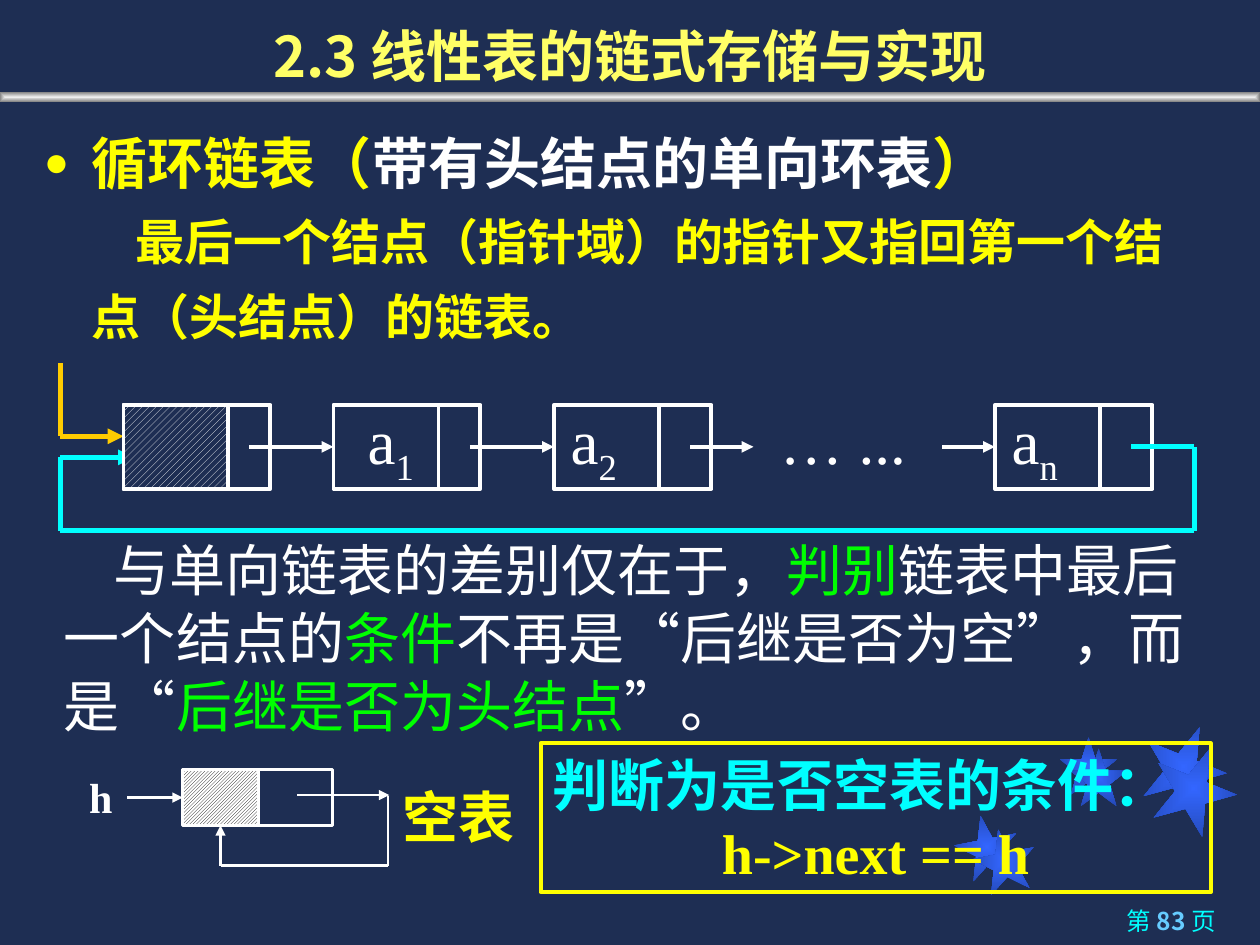
import dataclasses

import lxml.etree
import pptx
import pptx.dml.color
import pptx.enum.dml
import pptx.enum.shapes
import pptx.enum.text
import pptx.oxml.ns
import pptx.util

SHAPE = pptx.enum.shapes.MSO_SHAPE
ALIGN = pptx.enum.text.PP_ALIGN
ANCHOR = pptx.enum.text.MSO_ANCHOR
HATCH = pptx.enum.dml.MSO_PATTERN
qn = pptx.oxml.ns.qn


@dataclasses.dataclass(frozen=True)
class Theme:
    navy: str = "1E2E53"
    white: str = "FFFFFF"
    black: str = "000000"
    yellow: str = "FFFF00"
    lemon: str = "FFFF66"
    gold: str = "FFCC00"
    cyan: str = "00FFFF"
    sky: str = "66CCFF"
    green: str = "00FF00"
    star: tuple = ("3366FF", "2449B6")
    steel: tuple = ("EDEDED", "808080")
    sans: str = "Noto Sans CJK SC"
    serif: str = "Times New Roman"
    big: int = 32
    mid: int = 28
    small: int = 24
    foot: int = 14
    node: int = 36
    row: int = 48
    lead: float = 1.22


@dataclasses.dataclass(frozen=True)
class Grid:
    left: float
    top: float
    step: float

    def x(self, col):
        return pptx.util.Inches(self.left + col * self.step)

    def y(self, row):
        return pptx.util.Inches(self.top + row * self.step)

    def box(self, col, row, cols, rows):
        size = [pptx.util.Inches(n * self.step) for n in (cols, rows)]
        return [self.x(col), self.y(row), *size]


PAGE = Grid(0, 0, 0.1)
CHAIN = Grid(0.48, 2.88, 1 / 12)


def rgb(code):
    return pptx.dml.color.RGBColor.from_string(code)


def add(parent, tag, **values):
    return lxml.etree.SubElement(parent, qn(tag), values)


def apply(target, values):
    for name, value in values.items():
        setattr(target, name, value)


class Deck:
    def __init__(self, theme):
        self.theme = theme
        self.file = pptx.Presentation()
        apply(self.file, {"slide_width": pptx.util.Inches(10),
                          "slide_height": pptx.util.Inches(7.5)})
        self.slide = self.file.slides.add_slide(self.file.slide_layouts[6])
        fill = self.slide.background.fill
        fill.solid()
        fill.fore_color.rgb = rgb(theme.navy)

    def shape(self, box, kind=SHAPE.RECTANGLE, edge=None, width=2.25, turn=0, grid=PAGE):
        item = self.slide.shapes.add_shape(kind, *grid.box(*box))
        item.shadow.inherit = False
        item.rotation = turn
        item.fill.background()
        if edge:
            item.line.color.rgb = rgb(edge)
            item.line.width = pptx.util.Pt(width)
        else:
            item.line.fill.background()
        return item

    def glow(self, box, tones, **style):
        """Shape with a gradient that runs from its centre to its edge."""
        item = self.shape(box, **style)
        item.fill.gradient()
        for stop, tone in zip(item.fill.gradient_stops, tones):
            stop.color.rgb = rgb(tone)
        grad = item._element.spPr.find(qn("a:gradFill"))
        grad.remove(grad.find(qn("a:lin")))
        half = dict.fromkeys("ltrb", "50000")
        add(add(grad, "a:path", path="shape"), "a:fillToRect", **half)

    def hatch(self, box, pattern, fore, back, **style):
        item = self.shape(box, **style)
        item.fill.patterned()
        item.fill.pattern = pattern
        item.fill.fore_color.rgb = rgb(fore)
        item.fill.back_color.rgb = rgb(back)
        return item

    def line(self, start, end, color, width=2.25, arrow=False, join=None, grid=CHAIN):
        """Line between two grid points; join is (shape, side) for its end."""
        item = self.slide.shapes.add_connector(
            pptx.enum.shapes.MSO_CONNECTOR.STRAIGHT,
            grid.x(start[0]), grid.y(start[1]), grid.x(end[0]), grid.y(end[1]))
        item.line.color.rgb = rgb(color)
        item.line.width = pptx.util.Pt(width)
        props = item._element.spPr
        if arrow:
            add(props.find(qn("a:ln")), "a:tailEnd", type="triangle")
        add(props, "a:effectLst")
        if join:
            item.end_connect(*join)

    def route(self, points, color, width, arrow=True, grid=CHAIN):
        """Bent path of straight lines, with the arrow on the last one."""
        last = len(points) - 2
        for n, pair in enumerate(zip(points, points[1:])):
            self.line(*pair, color, width, arrow=arrow and n == last, grid=grid)

    def text(self, box, paras, **frame):
        item = self.slide.shapes.add_textbox(*PAGE.box(*box))
        self.label(item, paras, **frame)

    def label(self, item, paras, **frame):
        """Each paragraph is a dict of format values with a list of runs."""
        body = item.text_frame
        apply(body, {"word_wrap": True, "vertical_anchor": ANCHOR.TOP} | frame)
        for n, para in enumerate(paras):
            block = body.add_paragraph() if n else body.paragraphs[0]
            block.alignment = para.get("align", ALIGN.LEFT)
            props = block._p.get_or_add_pPr()
            for key in ("marL", "indent"):
                if key in para:
                    props.set(key, str(int(pptx.util.Inches(para[key]))))
            if "bullet" in para:
                add(add(props, "a:buClr"), "a:srgbClr", val=para["color"])
                add(props, "a:buSzPct", val="75000")
                add(props, "a:buFont", typeface="Arial")
                add(props, "a:buChar", char=para["bullet"])
            if "tabs" in para:
                stops = add(props, "a:tabLst")
                for stop in para["tabs"]:
                    add(stops, "a:tab", pos=str(int(pptx.util.Inches(stop))), algn="l")
            lead = para.get("lead", self.theme.lead)
            if lead:
                block.line_spacing = pptx.util.Pt(round(lead * para["size"]))
            for words, *extra in para["runs"]:
                self.run(block, words, para | (extra[0] if extra else {}))

    def run(self, block, words, look):
        part = block.add_run()
        part.text = words
        apply(part.font, {"size": pptx.util.Pt(look["size"]),
                          "bold": look.get("bold", False),
                          "name": look.get("font", self.theme.sans)})
        part.font.color.rgb = rgb(look["color"])
        props = part._r.get_or_add_rPr()
        add(props, "a:ea", typeface=self.theme.sans)
        if look.get("sub"):
            props.set("baseline", "-25000")


def frame(deck):
    t = deck.theme
    for dx in (0, 1):
        for col, row, size, turn in ((75.8 + 1.4 * dx, 64.7 + 1.1 * dx, 5, 349),
                                     (84.1 + 0.8 * dx, 58.5 + 0.9 * dx, 4.6, 0),
                                     (90.6 + 0.8 * dx, 57.5 + 1.7 * dx, 6.7, 22)):
            deck.glow((col, row, size, size), t.star, kind=SHAPE.STAR_5_POINT, turn=turn)
    deck.glow((0, 7.3, 100, 0.8), t.steel)
    deck.text((71.2, 71.4, 26.3, 3.6), [
        {"align": ALIGN.RIGHT, "size": t.foot, "color": t.cyan, "runs": [
            ("第 ",), ("83 ", {"color": t.sky, "bold": True}), ("页",)]}])
    deck.text((0, 0, 100, 7.5), [
        {"align": ALIGN.CENTER, "size": t.big, "color": t.lemon, "bold": True,
         "runs": [("2.3 线性表的链式存储与实现",)]}], vertical_anchor=ANCHOR.BOTTOM)


def prose(deck):
    t = deck.theme
    head = {"color": t.yellow, "bold": True, "lead": 1.52, "marL": 0.38}
    deck.text((2.5, 8.2, 93.3, 19.7), [
        head | {"size": t.big, "font": "Arial", "indent": -0.38, "bullet": "●", "runs": [
            ("循环链表（",), ("带有头结点的单向环表", {"color": t.white}), ("）",)]},
        head | {"size": t.mid, "indent": 0.35, "runs": [
            ("最后一个结点（指针域）的指针又指回第一个结点（头结点）的链表。",)]}])
    key = {"color": t.green}
    deck.text((4.1, 41.9, 93.4, 17.2), [
        {"size": t.big, "color": t.white, "marL": 0, "indent": 0.39, "runs": [
            ("与单向链表的差别仅在于，",), ("判别", key), ("链表中最后一个结点的",),
            ("条件", key), ("不再是“后继是否为空”，而是“",),
            ("后继是否为头结点", key), ("”。",)]}])


def chain(deck):
    t = deck.theme
    sub, gap = {"sub": True}, ("\t", {"size": t.row})
    deck.text((23.2, 29.7, 75.8, 13), [
        {"size": t.node, "color": t.white, "font": t.serif, "lead": None,
         "tabs": (0.5, 2.11, 3.77, 5.61), "runs": [
             gap, ("a",), ("1", sub), gap, ("a",), ("2", sub),
             gap, ("… ...",), gap, ("a",), ("n", sub)]}])
    nodes = []
    for col, split, cols in ((6, 10, 14), (26, 10, 14), (47, 10, 15), (89, 10, 15)):
        nodes.append(deck.shape((col, 4, cols, 8), edge=t.white, grid=CHAIN))
        deck.line((col + split, 4), (col + split, 12), t.white)
    for start, end, node in zip((18, 39, 84), (26, 47, 89), nodes[1:]):
        deck.line((start, 8), (end, 8), t.white, arrow=True, join=(node, 1))
    deck.line((60, 8), (66, 8), t.white, arrow=True)
    deck.route([(0, 0), (0, 7), (6, 7)], t.gold, 3)
    deck.route([(102, 8), (108, 8), (108, 16), (0, 16), (0, 9), (7, 9)], t.cyan, 3)
    deck.hatch((6, 4, 10, 8), HATCH.WIDE_UPWARD_DIAGONAL, t.white, t.navy,
               edge=t.white, grid=CHAIN)


def empty(deck):
    t = deck.theme
    look = {"align": ALIGN.CENTER, "font": t.serif, "bold": True, "size": t.big}
    flow = {"vertical_anchor": ANCHOR.MIDDLE, "word_wrap": False}
    deck.text((6.1, 60.7, 3.2, 5), [
        look | {"size": t.small, "color": t.white, "runs": [("h",)]}], **flow)
    deck.text((30.9, 61.5, 11, 6.4), [
        look | {"color": t.yellow, "runs": [("空表",)]}], **flow)
    deck.shape((20.4, 61.1, 6, 4.4), edge=t.white, width=1.5)
    data = deck.hatch((14.5, 61.1, 6, 4.4), HATCH.LIGHT_UPWARD_DIAGONAL,
                      t.black, t.white, edge=t.white, width=1.5)
    thin = {"color": t.white, "width": 1.5, "grid": PAGE}
    deck.line((10.1, 63.3), (14.5, 63.3), arrow=True, join=(data, 1), **thin)
    deck.line((23.6, 63.1), (30.9, 63.1), arrow=True, **thin)
    deck.route([(30.8, 63.2), (30.8, 68.7), (17.5, 68.7)], arrow=False, **thin)
    deck.line((17.5, 68.7), (17.5, 65.5), arrow=True, join=(data, 2), **thin)
    test = deck.shape((42.9, 59, 53.2, 11.8), edge=t.yellow)
    deck.label(test, [
        look | {"align": ALIGN.LEFT, "color": t.cyan, "runs": [("判断为是否空表的条件：",)]},
        look | {"color": t.yellow, "runs": [("h->next == h",)]}])


def main():
    deck = Deck(Theme())
    for part in (frame, prose, chain, empty):
        part(deck)
    deck.file.save("out.pptx")


if __name__ == "__main__":
    main()
